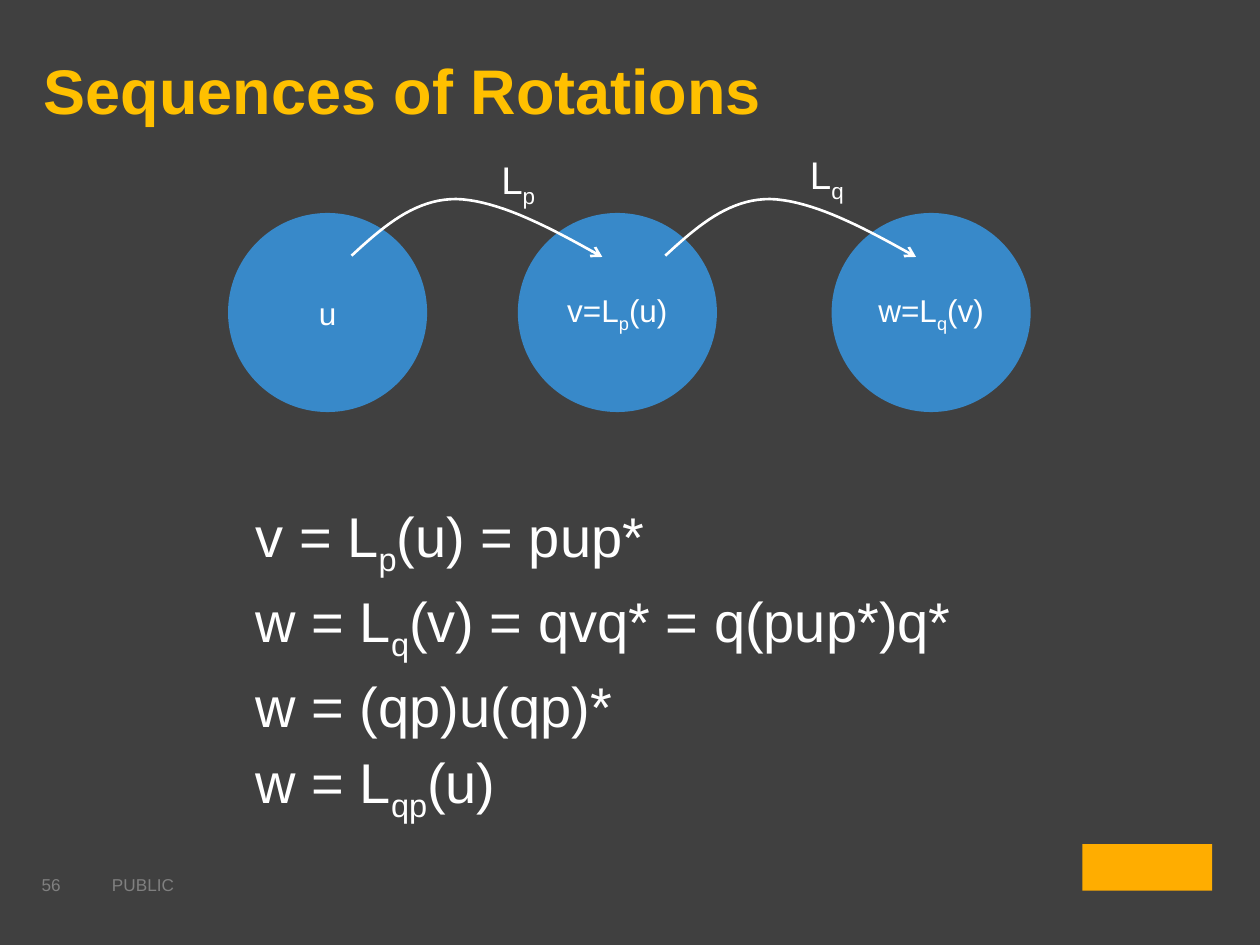
from lxml.etree import SubElement
from pptx import Presentation
from pptx.dml.color import RGBColor
from pptx.enum.shapes import MSO_SHAPE
from pptx.enum.text import MSO_ANCHOR, PP_ALIGN
from pptx.oxml.ns import qn
from pptx.util import Inches, Pt

WHITE, GOLD, GRAY, BLUE = "FFFFFF", "FFC000", "808080", "3889C9"
CIRCLE_SIZE = 1.58


def color(hex_value):
    return RGBColor.from_string(hex_value)


def write(paragraph, text, size, hex_value=WHITE, bold=False):
    """Write text in which every second part between bars is a subscript."""
    for index, part in enumerate(text.split("|")):
        run = paragraph.add_run()
        run.text = part
        for name, value in {"name": "Arial", "size": Pt(size), "bold": bold}.items():
            setattr(run.font, name, value)
        run.font.color.rgb = color(hex_value)
        if index % 2:
            run._r.get_or_add_rPr().set("baseline", "-25000")


def add_text(slide, box, lines, size, hex_value=WHITE, bold=False, **frame_format):
    frame = slide.shapes.add_textbox(*map(Inches, box)).text_frame
    for name, value in {"word_wrap": True, **frame_format}.items():
        setattr(frame, name, value)
    for index, line in enumerate(lines):
        paragraph = frame.paragraphs[0] if index == 0 else frame.add_paragraph()
        write(paragraph, line, size, hex_value, bold)
    return frame


def add_circle(slide, left, top, text):
    circle = slide.shapes.add_shape(
        MSO_SHAPE.OVAL, *map(Inches, (left, top, CIRCLE_SIZE, CIRCLE_SIZE)))
    circle.shadow.inherit = False
    circle.fill.solid()
    circle.fill.fore_color.rgb = color(BLUE)
    circle.line.fill.background()
    circle.text_frame.vertical_anchor = MSO_ANCHOR.MIDDLE
    paragraph = circle.text_frame.paragraphs[0]
    paragraph.alignment = PP_ALIGN.CENTER
    write(paragraph, text, 18)


def bezier(points, steps=20):
    """Return points along a cubic curve, without its start."""
    weights = [((1 - t) ** 3, 3 * t * (1 - t) ** 2, 3 * t * t * (1 - t), t ** 3)
               for t in (step / steps for step in range(1, steps + 1))]
    return [tuple(sum(w * p[axis] for w, p in zip(weight, points)) for axis in (0, 1))
            for weight in weights]


def add_arc(slide, left, top):
    start, peak, end = (0, 0.45), (0.83, 0), (1.99, 0.46)
    curve = (bezier([start, (0.25, 0.22), (0.5, 0), peak])
             + bezier([peak, (1.17, 0.01), (1.58, 0.23), end]))
    builder = slide.shapes.build_freeform(
        Inches(left + start[0]), Inches(top + start[1]))
    builder.add_line_segments(
        [(Inches(left + x), Inches(top + y)) for x, y in curve], close=False)
    arc = builder.convert_to_shape()
    arc.shadow.inherit = False
    arc.fill.background()
    arc.line.color.rgb = color(WHITE)
    arc.line.width = Pt(1.5)
    SubElement(arc.line._get_or_add_ln(), qn("a:tailEnd"), type="arrow")


def add_rotation_diagram(slide, left, top):
    """Place the three circles, then the arcs and their labels above them."""
    for offset, text in ((0, "u"), (2.3, "v=L|p|(u)"), (4.79, "w=L|q|(v)")):
        add_circle(slide, left + offset, top, text)
    for offset in (0.98, 3.47):
        add_arc(slide, left + offset, top - 0.11)
    for x, y, text in ((2.07, 0.5, "L|p|"), (4.52, 0.54, "L|q|")):
        add_text(slide, (left + x, top - y, 0.71, 0.65), [text.rstrip("|")], 22,
                 word_wrap=False)


def add_equations(slide, box):
    equations = ["v = L|p|(u) = pup*", "w = L|q|(v) = qvq* = q(pup*)q*",
                 "w = (qp)u(qp)*", "w = L|qp|(u)"]
    for paragraph in add_text(slide, box, equations, 32).paragraphs:
        paragraph.space_before, paragraph.space_after = Pt(4.3), Pt(0.6)
        properties = paragraph._p.get_or_add_pPr()
        properties.set("marL", str(Inches(0.19)))
        properties.set("indent", str(-Inches(0.19)))


def add_footer(slide, left, top):
    add_text(slide, (left, top, 0.49, 0.3), ["56"], 9.8, GRAY,
             vertical_anchor=MSO_ANCHOR.MIDDLE,
             margin_left=Inches(0.06), margin_right=Inches(0.06),
             margin_top=Inches(0.03), margin_bottom=Inches(0.03))
    add_text(slide, (left + 0.52, top + 0.02, 3.84, 0.34), ["PUBLIC"], 9.8, GRAY)


def add_brand_block(slide, box):
    block = slide.shapes.add_shape(MSO_SHAPE.RECTANGLE, *map(Inches, box))
    block.shadow.inherit = False
    block.fill.solid()
    block.fill.fore_color.rgb = color("FFAD00")
    block.line.fill.background()


def main():
    presentation = Presentation()
    presentation.slide_width, presentation.slide_height = Inches(10), Inches(7.5)
    slide = presentation.slides.add_slide(presentation.slide_layouts[6])
    slide.background.fill.solid()
    slide.background.fill.fore_color.rgb = color("404040")
    add_footer(slide, 0.27, 6.87)
    add_brand_block(slide, (8.59, 6.7, 1.03, 0.37))
    add_text(slide, (0.25, 0.31, 9.54, 0.72), ["Sequences of Rotations"], 36, GOLD,
             bold=True, margin_top=Inches(0.1))
    add_equations(slide, (1.93, 3.93, 6.18, 2.76))
    add_rotation_diagram(slide, 1.81, 1.69)
    presentation.save("out.pptx")


if __name__ == "__main__":
    main()
